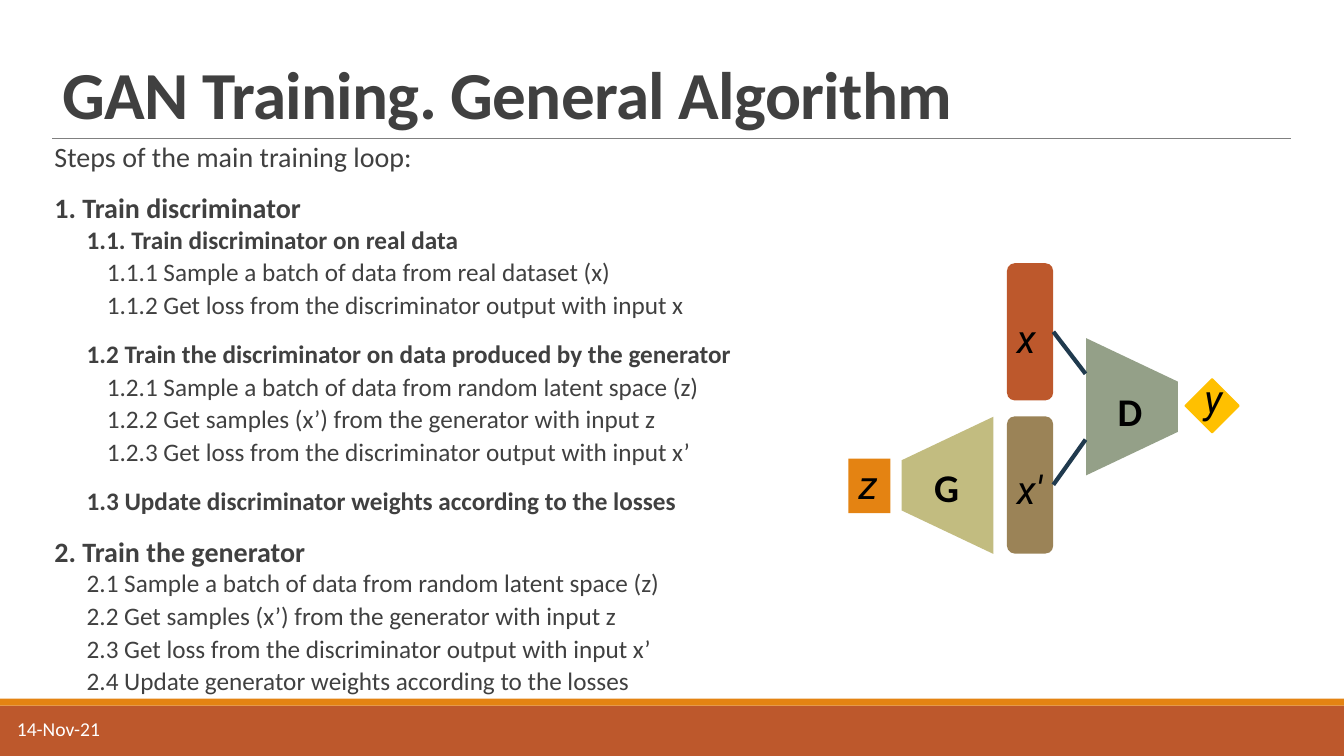
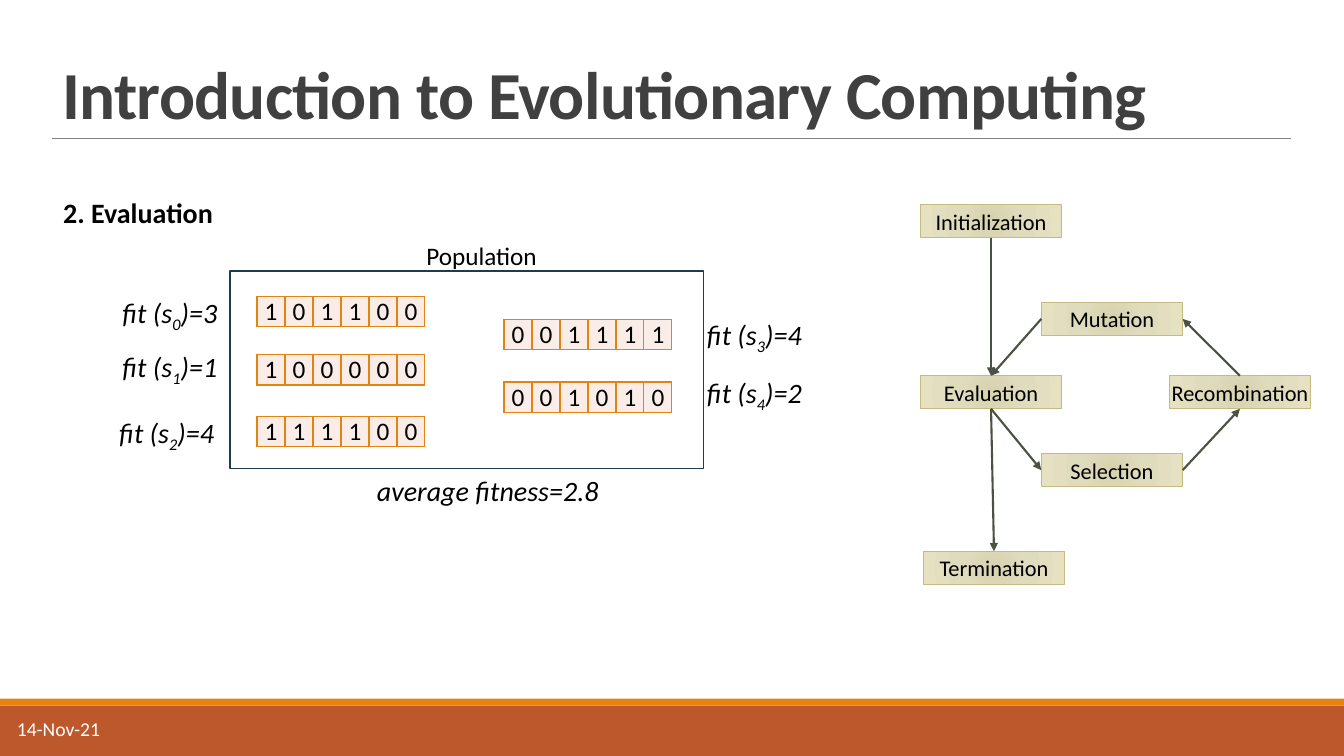
from lxml.etree import SubElement
from pptx import Presentation
from pptx.dml.color import RGBColor
from pptx.enum.shapes import MSO_CONNECTOR, MSO_SHAPE
from pptx.enum.text import MSO_ANCHOR, PP_ALIGN
from pptx.oxml import parse_xml
from pptx.oxml.ns import nsdecls, qn
from pptx.util import Pt

BLACK = RGBColor(0x00, 0x00, 0x00)
WHITE = RGBColor(0xFF, 0xFF, 0xFF)
GRAY = RGBColor(0x40, 0x40, 0x40)
RULE = RGBColor(0x80, 0x80, 0x80)
RUST = RGBColor(0xBD, 0x58, 0x2C)
ORANGE = RGBColor(0xE4, 0x83, 0x12)
NAVY = RGBColor(0x20, 0x3A, 0x4E)
SAGE = RGBColor(0x94, 0xA0, 0x88)
DARK_SAGE = RGBColor(0x4A, 0x52, 0x42)
OLIVE = RGBColor(0xC2, 0xBC, 0x80)
BROWN = RGBColor(0x9B, 0x83, 0x57)
YELLOW = RGBColor(0xFF, 0xC0, 0x00)
PALE = RGBColor(0xFA, 0xED, 0xE7)
STEP_GRADIENT = [(0, "D7D3AF"), (45, "DFDBBD"), (100, "E5E1C1")]

DATE = "14-Nov-21"

# level, bold, space before, text
STEPS = [
    (0, False, 0, "Steps of the main training loop:"),
    (0, True, 15, "1. Train discriminator"),
    (1, True, 2, "1.1. Train discriminator on real data"),
    (2, False, 2, "1.1.1 Sample a batch of data from real dataset (x)"),
    (2, False, 2, "1.1.2 Get loss from the discriminator output with input x"),
    (1, True, 14, "1.2 Train the discriminator on data produced by the generator"),
    (2, False, 2, "1.2.1 Sample a batch of data from random latent space (z)"),
    (2, False, 2, "1.2.2 Get samples (x’) from the generator with input z"),
    (2, False, 2, "1.2.3 Get loss from the discriminator output with input x’"),
    (1, True, 14, "1.3 Update discriminator weights according to the losses"),
    (0, True, 14, "2. Train the generator"),
    (1, False, 2, "2.1 Sample a batch of data from random latent space (z)"),
    (1, False, 2, "2.2 Get samples (x’) from the generator with input z"),
    (1, False, 2, "2.3 Get loss from the discriminator output with input x’"),
    (1, False, 2, "2.4 Update generator weights according to the losses"),
]
# size, indent, space after for each level
LEVELS = [(20, 0, 2), (18, 23, 4), (18, 37.4, 4)]

# preset, box, fill, rotation
NETWORK = [
    (MSO_SHAPE.ROUNDED_RECTANGLE, (719.3, 188, 33, 98), RUST, 0),
    (MSO_SHAPE.TRAPEZOID, (759.6, 257.8, 98, 65.5), SAGE, 90),
    (MSO_SHAPE.TRAPEZOID, (627.8, 313.9, 98, 65.5), OLIVE, 270),
    (MSO_SHAPE.ROUNDED_RECTANGLE, (719.3, 297.4, 33, 98), BROWN, 0),
    (MSO_SHAPE.RECTANGLE, (606, 327.6, 30, 39), ORANGE, 0),
    (MSO_SHAPE.DIAMOND, (846.7, 270.7, 38.2, 38.2), YELLOW, 0),
]
NETWORK_LINES = [(752.4, 237, 775.4, 267), (752.4, 346.3, 775.4, 314)]
# text, left, top, width
BLOCK_LABELS = [("G", 660.2, 327.6, 32.4), ("D", 791.3, 272.9, 32.4)]
VARIABLE_LABELS = [
    ("z", 606.2, 325.4, 28),
    ("x", 719.3, 221, 28),
    ("x'", 719.3, 329, 34.6),
    ("y", 853.2, 264.2, 25.2),
]

# genes, table position, label position
POPULATION = [
    ("101100", (183.6, 211.7), (79.2, 207.4)),
    ("100000", (183.6, 253.4), (79.2, 246.2)),
    ("111100", (183.6, 297.4), (77, 293)),
    ("001111", (360, 228.2), (496.8, 223.2)),
    ("001010", (360, 272.9), (496.8, 265)),
]
GENE_W, GENE_H = 20, 21.6

CYCLE = {
    "Initialization": (657.4, 146.2),
    "Evaluation": (657.4, 268.4),
    "Selection": (743.8, 324),
    "Recombination": (835.2, 268.4),
    "Termination": (659.5, 393.8),
    "Mutation": (743.8, 216),
}
TOP, LEFT, BOTTOM, RIGHT = range(4)
CYCLE_ARROWS = [
    ("Initialization", BOTTOM, "Evaluation", TOP),
    ("Evaluation", BOTTOM, "Termination", TOP),
    ("Mutation", LEFT, "Evaluation", TOP),
    ("Recombination", TOP, "Mutation", RIGHT),
    ("Evaluation", BOTTOM, "Selection", LEFT),
    ("Selection", RIGHT, "Recombination", BOTTOM),
]


def pts(values):
    return [Pt(v) for v in values]


def add_run(p, text, size=20, color=BLACK, font="Calibri", bold=False,
            italic=False, spacing=None, baseline=None):
    """Spacing is in hundredths of a point, baseline in thousandths of a percent."""
    r = p.add_run()
    r.text = text
    f = r.font
    f.size, f.name, f.bold, f.italic = Pt(size), font, bold, italic
    f.color.rgb = color
    for name, value in (("spc", spacing), ("baseline", baseline)):
        if value is not None:
            r._r.get_or_add_rPr().set(name, str(value))


def add_label(s, box, text, align=PP_ALIGN.LEFT, wrap=False, **fmt):
    """Text is a string, or a list of (string, baseline) pairs."""
    tf = s.shapes.add_textbox(*pts(box)).text_frame
    tf.word_wrap = wrap
    p = tf.paragraphs[0]
    p.alignment = align
    runs = [(text, None)] if isinstance(text, str) else text
    for part, baseline in runs:
        add_run(p, part, baseline=baseline, **fmt)
    return tf


def add_box(s, preset, box, fill=None, line=None, width=1.25):
    sp = s.shapes.add_shape(preset, *pts(box))
    sp.shadow.inherit = False
    if fill is None:
        sp.fill.background()
    else:
        sp.fill.solid()
        sp.fill.fore_color.rgb = fill
    if line is None:
        sp.line.fill.background()
    else:
        sp.line.color.rgb = line
        sp.line.width = Pt(width)
    return sp


def add_line(s, ends, color, width, arrow=False):
    c = s.shapes.add_connector(MSO_CONNECTOR.STRAIGHT, *pts(ends))
    c.line.color.rgb = color
    c.line.width = Pt(width)
    if arrow:
        SubElement(c.line._get_or_add_ln(), qn("a:tailEnd"), type="triangle")
    SubElement(c._element.spPr, qn("a:effectLst"))
    return c


def add_slide(prs, title):
    s = prs.slides.add_slide(prs.slide_layouts[6])
    add_box(s, MSO_SHAPE.RECTANGLE, (0, 504, 960, 36), RUST)
    add_box(s, MSO_SHAPE.RECTANGLE, (0, 499, 960, 5), ORANGE)
    add_line(s, (37.4, 98.7, 922.4, 98.7), RULE, 0.5)
    tf = add_label(s, (37.4, 22.3, 885, 76.4), title, wrap=True, size=48,
                   color=GRAY, bold=True, spacing=-50)
    tf.vertical_anchor = MSO_ANCHOR.BOTTOM
    tf.paragraphs[0].line_spacing = 0.85
    add_label(s, (5, 508.3, 194.4, 28.8), DATE, wrap=True, size=14, color=WHITE)
    return s


def add_steps(s):
    tf = s.shapes.add_textbox(*pts((38.9, 98.7, 885, 391.7))).text_frame
    tf.word_wrap = True
    tf.margin_left = tf.margin_right = 0
    for i, (level, bold, before, text) in enumerate(STEPS):
        p = tf.add_paragraph() if i else tf.paragraphs[0]
        size, indent, after = LEVELS[level]
        p._p.get_or_add_pPr().set("marL", str(Pt(indent)))
        p.line_spacing = 0.8 if i else 0.9
        p.space_before, p.space_after = Pt(before), Pt(after)
        add_run(p, text, size=size, color=GRAY, bold=bold)


def add_network(s):
    for preset, box, fill, rotation in NETWORK:
        line = YELLOW if preset == MSO_SHAPE.DIAMOND else None
        sp = add_box(s, preset, box, fill, line)
        sp.rotation = rotation
        if preset == MSO_SHAPE.TRAPEZOID:
            sp.adjustments[0] = 0.474
    for ends in NETWORK_LINES:
        add_line(s, ends, NAVY, 3)
    for text, x, y, w in BLOCK_LABELS:
        add_label(s, (x, y, w, 41), text, size=28, bold=True)
    for text, x, y, w in VARIABLE_LABELS:
        add_label(s, (x, y, w, 41), text, size=28, font="Roboto", italic=True)


def add_genes(s, genes, x, y):
    box = (x, y, GENE_W * len(genes), GENE_H)
    table = s.shapes.add_table(1, len(genes), *pts(box)).table
    table.first_row = table.horz_banding = False
    for cell, gene in zip(table.iter_cells(), genes):
        cell.margin_left = cell.margin_right = 0
        cell.margin_top = cell.margin_bottom = 0
        tcPr = cell._tc.get_or_add_tcPr()
        for side in "LRTB":
            ln = SubElement(tcPr, qn(f"a:ln{side}"), w=str(Pt(1)))
            SubElement(SubElement(ln, qn("a:solidFill")), qn("a:srgbClr"), val=str(ORANGE))
        cell.fill.solid()
        cell.fill.fore_color.rgb = PALE
        p = cell.text_frame.paragraphs[0]
        p.alignment = PP_ALIGN.CENTER
        add_run(p, gene, size=18)


def add_population(s):
    center = PP_ALIGN.CENTER
    fitness = [genes.count("1") for genes, _, _ in POPULATION]
    for i, (genes, table_at, label_at) in enumerate(POPULATION):
        add_genes(s, genes, *table_at)
        runs = [("fit (s", None), (str(i), -25000), (f")={fitness[i]}", None)]
        add_label(s, (*label_at, 84.2, 31.7), runs, center, italic=True)
    add_box(s, MSO_SHAPE.RECTANGLE, (164.2, 193.7, 338.4, 141), line=NAVY)
    add_label(s, (297.4, 167.8, 94.3, 28.8), "Population", size=18)
    average = sum(fitness) / len(fitness)
    add_label(s, (261.4, 334.8, 174.2, 31.7), f"average fitness={average:.1f}",
              center, italic=True)
    add_label(s, (37.4, 136, 122.4, 31.7), "2. Evaluation", center, bold=True)


def set_radial_fill(sp, stops):
    gs = "".join(f'<a:gs pos="{pos * 1000}"><a:srgbClr val="{color}"/></a:gs>'
                 for pos, color in stops)
    fill = parse_xml(
        f'<a:gradFill {nsdecls("a")} rotWithShape="1"><a:gsLst>{gs}</a:gsLst>'
        '<a:path path="circle"><a:fillToRect l="100000" t="100000" r="100000" '
        'b="100000"/></a:path></a:gradFill>')
    spPr = sp._element.spPr
    spPr.replace(spPr.find(qn("a:noFill")), fill)


def add_cycle(s):
    boxes = {}
    for name, (x, y) in CYCLE.items():
        sp = add_box(s, MSO_SHAPE.RECTANGLE, (x, y, 101, 23.6), line=OLIVE, width=1)
        set_radial_fill(sp, STEP_GRADIENT)
        tf = sp.text_frame
        tf.margin_left = tf.margin_right = tf.margin_top = tf.margin_bottom = 0
        tf.vertical_anchor = MSO_ANCHOR.MIDDLE
        tf.paragraphs[0].alignment = PP_ALIGN.CENTER
        add_run(tf.paragraphs[0], name, size=16)
        boxes[name] = sp
    for start, start_side, end, end_side in CYCLE_ARROWS:
        c = add_line(s, (0, 0, 0, 0), DARK_SAGE, 1.5, arrow=True)
        c.begin_connect(boxes[start], start_side)
        c.end_connect(boxes[end], end_side)


def main():
    prs = Presentation()
    prs.slide_width, prs.slide_height = Pt(960), Pt(540)
    s = add_slide(prs, "GAN Training. General Algorithm")
    add_steps(s)
    add_network(s)
    s = add_slide(prs, "Introduction to Evolutionary Computing")
    add_population(s)
    add_cycle(s)
    prs.save("out.pptx")


if __name__ == "__main__":
    main()
